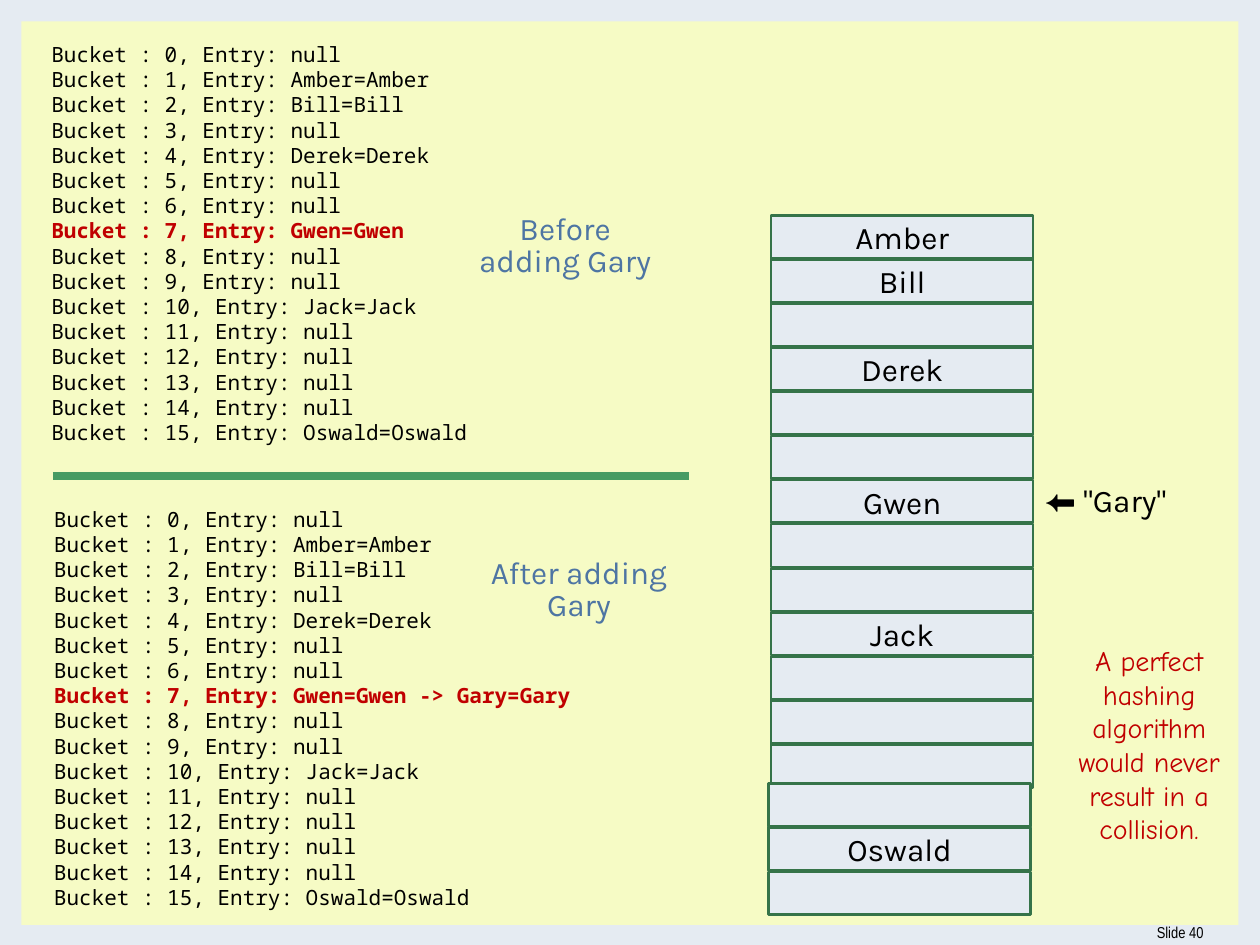
import pptx
import pptx.util
import pptx.dml.color
import pptx.enum.shapes
import pptx.enum.text
import pptx.oxml.ns
import lxml.etree

Inches = pptx.util.Inches
Pt = pptx.util.Pt
RGBColor = pptx.dml.color.RGBColor
ALIGN = pptx.enum.text.PP_ALIGN
ANCHOR = pptx.enum.text.MSO_ANCHOR
AUTO_SIZE = pptx.enum.text.MSO_AUTO_SIZE
RECTANGLE = pptx.enum.shapes.MSO_SHAPE.RECTANGLE

PALE_BLUE = RGBColor(0xE5, 0xEB, 0xF2)
PALE_YELLOW = RGBColor(0xF6, 0xFB, 0xC5)
DARK_GREEN = RGBColor(0x35, 0x73, 0x49)
GREEN = RGBColor(0x47, 0x9B, 0x63)
BLUE = RGBColor(0x4E, 0x75, 0xA3)
RED = RGBColor(0xC0, 0x00, 0x00)
BLACK = RGBColor(0x00, 0x00, 0x00)

BUCKET_COUNT = 16
COLLISION_BUCKET = 7
ENTRIES = {1: "Amber", 2: "Bill", 4: "Derek", 7: "Gwen", 10: "Jack", 15: "Oswald"}
LISTINGS = [
    (0.31, 0.28, ""),
    (0.33, 3.97, " -> Gary=Gary"),
]
CAPTIONS = [
    (3.61, 1.66, "Before adding Gary"),
    (3.72, 4.39, "After adding Gary"),
]
CELL_GROUPS = [
    (6.12, 1.71, ["Amber", "Bill", "", "Derek", "", "", "Gwen", "", "", "Jack", "", "", ""]),
    (6.10, 6.22, ["", "Oswald", ""]),
]
CELL_WIDTH, CELL_HEIGHT, CELL_PITCH = 2.08, 0.34, 0.35


def style(para, font_name, size, color, bold=False, align=ALIGN.LEFT):
    para.alignment = align
    para.font.name = font_name
    para.font.size = Pt(size)
    para.font.color.rgb = color
    para.font.bold = bold


def add_rectangle(page, left, top, width, height, fill):
    shape = page.shapes.add_shape(
        RECTANGLE, Inches(left), Inches(top), Inches(width), Inches(height))
    shape.shadow.inherit = False
    shape.fill.solid()
    shape.fill.fore_color.rgb = fill
    shape.line.fill.background()
    return shape


def add_text(page, left, top, width, height, text, wrap=True):
    box = page.shapes.add_textbox(Inches(left), Inches(top), Inches(width), Inches(height))
    frame = box.text_frame
    frame.word_wrap = wrap
    frame.auto_size = AUTO_SIZE.SHAPE_TO_FIT_TEXT
    frame.text = text
    return frame


def bucket_line(bucket, chained):
    name = ENTRIES.get(bucket)
    entry = f"{name}={name}" if name else "null"
    suffix = chained if bucket == COLLISION_BUCKET else ""
    return f"Bucket : {bucket}, Entry: {entry}{suffix}"


def add_listing(page, left, top, chained):
    lines = [bucket_line(bucket, chained) for bucket in range(BUCKET_COUNT)]
    frame = add_text(page, left, top, 5, 3.33, "\n".join(lines))
    for bucket, para in enumerate(frame.paragraphs):
        collides = bucket == COLLISION_BUCKET
        style(para, "Noto Sans Mono", 12, RED if collides else BLACK, collides)
        para.line_spacing = Pt(14.4)


def add_cells(page, left, top, names):
    for row, name in enumerate(names):
        cell = add_rectangle(
            page, left, top + row * CELL_PITCH, CELL_WIDTH, CELL_HEIGHT, PALE_BLUE)
        cell.line.color.rgb = DARK_GREEN
        cell.line.width = Pt(1.5)
        if name:
            cell.text_frame.text = name
            cell.text_frame.vertical_anchor = ANCHOR.MIDDLE
            style(cell.text_frame.paragraphs[0], "Karla", 18, BLACK, align=ALIGN.CENTER)


def add_divider(page):
    divider = page.shapes.add_connector(
        pptx.enum.shapes.MSO_CONNECTOR.STRAIGHT,
        Inches(0.42), Inches(3.78), Inches(5.47), Inches(3.78))
    divider.line.color.rgb = GREEN
    divider.line.width = Pt(4.5)
    lxml.etree.SubElement(divider._element.spPr, pptx.oxml.ns.qn("a:effectLst"))


def main():
    deck = pptx.Presentation()
    deck.slide_width, deck.slide_height = Inches(10), Inches(7.5)
    page = deck.slides.add_slide(deck.slide_layouts[6])
    page.background.fill.solid()
    page.background.fill.fore_color.rgb = PALE_BLUE

    add_rectangle(page, 0.17, 0.17, 9.66, 7.17, PALE_YELLOW)
    number = add_text(page, 9.01, 7.25, 0.64, 0.3, "Slide 40")
    number.auto_size = AUTO_SIZE.NONE
    number.vertical_anchor = ANCHOR.MIDDLE
    style(number.paragraphs[0], "Arial Narrow", 9, BLACK, align=ALIGN.RIGHT)

    for group in CELL_GROUPS:
        add_cells(page, *group)

    newcomer = add_text(page, 8.19, 3.77, 1.22, 0.4, '⬅ "Gary"', wrap=False)
    style(newcomer.paragraphs[0], "Karla", 18, BLACK)
    remark = add_text(page, 8.46, 5.06, 1.32, 1.99,
                      "A perfect hashing algorithm would never result in a collision.")
    style(remark.paragraphs[0], "Comic Neue", 16, RED, align=ALIGN.CENTER)

    for listing in LISTINGS:
        add_listing(page, *listing)
    for left, top, text in CAPTIONS:
        caption = add_text(page, left, top, 1.75, 0.61, text).paragraphs[0]
        style(caption, "Karla", 18, BLUE, align=ALIGN.CENTER)
        caption.line_spacing = Pt(18)
    add_divider(page)

    deck.save("out.pptx")


if __name__ == "__main__":
    main()
